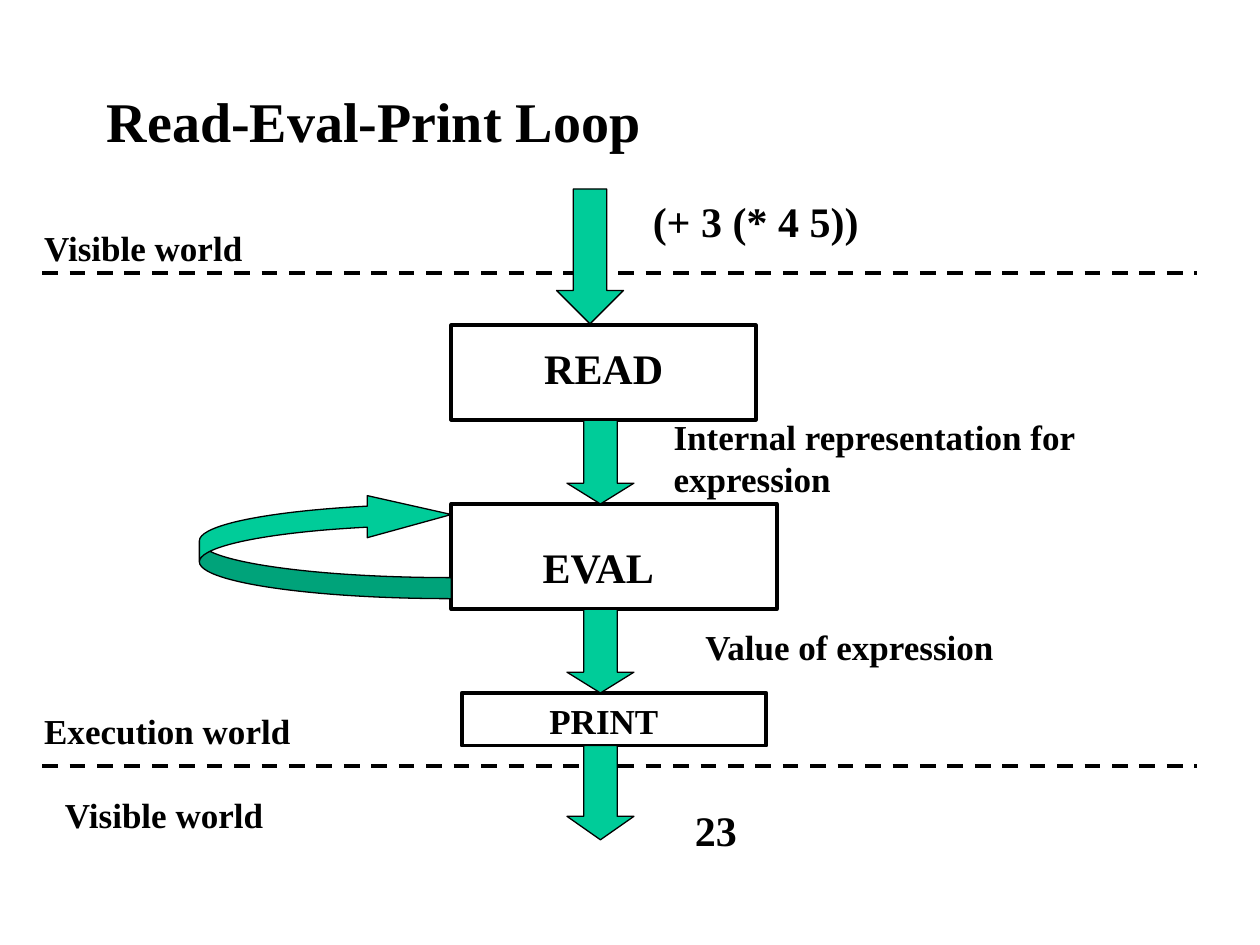
from dataclasses import dataclass

from lxml.etree import SubElement
from pptx import Presentation
from pptx.dml.color import RGBColor
from pptx.enum.dml import MSO_LINE
from pptx.enum.shapes import MSO_CONNECTOR, MSO_SHAPE
from pptx.enum.text import MSO_ANCHOR, PP_ALIGN
from pptx.oxml.ns import qn
from pptx.util import Cm, Pt


@dataclass(frozen=True)
class Theme:
    font: str = "Times New Roman"
    ink: RGBColor = RGBColor(0x00, 0x00, 0x00)
    arrow: RGBColor = RGBColor(0x00, 0xCC, 0x99)
    title: float = 32
    large: float = 24
    small: float = 20
    thick: float = 2.25
    thin: float = 0.75


class SlideBuilder:
    """Draws elements on one slide; every length is in centimetres."""

    def __init__(self, slide, theme):
        self.slide = slide
        self.shapes = slide.shapes
        self.theme = theme

    def add_text(self, tf, text, size, align=PP_ALIGN.LEFT):
        tf.word_wrap = True
        p = tf.paragraphs[0]
        p.alignment = align
        r = p.add_run()
        r.text = text
        r.font.name = self.theme.font
        r.font.size = Pt(size)
        r.font.bold = True
        r.font.color.rgb = self.theme.ink

    def outline(self, line, width):
        line.color.rgb = self.theme.ink
        line.width = Pt(width)

    def title(self, text, x, y, w, h):
        sp = self.shapes.title
        sp.left, sp.top, sp.width, sp.height = map(Cm, (x, y, w, h))
        sp.text_frame.vertical_anchor = MSO_ANCHOR.MIDDLE
        self.add_text(sp.text_frame, text, self.theme.title)

    def label(self, text, x, y, w, h, size, align=PP_ALIGN.LEFT):
        sp = self.shapes.add_textbox(Cm(x), Cm(y), Cm(w), Cm(h))
        self.add_text(sp.text_frame, text, size, align)

    def shape(self, kind, x, y, w, h, width, fill=None):
        sp = self.shapes.add_shape(kind, Cm(x), Cm(y), Cm(w), Cm(h))
        sp.shadow.inherit = False
        if fill is None:
            sp.fill.background()
        else:
            sp.fill.solid()
            sp.fill.fore_color.rgb = fill
        self.outline(sp.line, width)
        return sp

    def box(self, x, y, w, h):
        self.shape(MSO_SHAPE.RECTANGLE, x, y, w, h, self.theme.thick)

    def down_arrow(self, x, y, h, head):
        """head is the length of the arrowhead as a share of the width."""
        sp = self.shape(MSO_SHAPE.DOWN_ARROW, x, y, 1.35, h,
                        self.theme.thin, self.theme.arrow)
        sp.adjustments[0] = 0.5
        sp.adjustments[1] = head

    def loop_arrow(self, x, y, w, h):
        sp = self.shape(MSO_SHAPE.CURVED_RIGHT_ARROW, x, y, w, h,
                        self.theme.thin, self.theme.arrow)
        for i, value in enumerate((0.2, 0.4, 0.8)):
            sp.adjustments[i] = value
        sp._element.spPr.find(qn("a:xfrm")).set("flipV", "1")

    def divider(self, x1, x2, y):
        cx = self.shapes.add_connector(
            MSO_CONNECTOR.STRAIGHT, Cm(x1), Cm(y), Cm(x2), Cm(y))
        self.outline(cx.line, self.theme.thick)
        cx.line.dash_style = MSO_LINE.DASH
        SubElement(cx._element.spPr, qn("a:effectLst"))


def main():
    prs = Presentation()
    prs.slide_width, prs.slide_height = Cm(25.4), Cm(19.05)
    theme = Theme()
    large, small = theme.large, theme.small
    s = SlideBuilder(prs.slides.add_slide(prs.slide_layouts[5]), theme)

    s.title("Read-Eval-Print Loop", 1.9, 1.48, 21.59, 1.9)
    for y in (5.5, 15.45):
        s.divider(0.85, 24.13, y)

    # Stage name, its box, then the place and size of its caption
    stages = [
        ("READ", (9.1, 6.56, 6.14, 1.9), (9.31, 6.77, 5.72, 1.27), large),
        ("EVAL", (9.1, 10.16, 6.56, 2.12), (9.31, 10.8, 5.5, 1.27), large),
        ("PRINT", (9.31, 13.97, 6.14, 1.06), (9.53, 13.97, 5.29, 1.11), small),
    ]
    for name, box, caption, size in stages:
        s.box(*box)
        s.label(name, *caption, size, PP_ALIGN.CENTER)

    for arrow in [
        (11.22, 3.81, 2.72, 0.5),
        (11.43, 8.47, 1.69, 0.31),
        (11.43, 12.28, 1.69, 0.31),
        (11.43, 15.03, 1.9, 0.35),
    ]:
        s.down_arrow(*arrow)
    s.loop_arrow(4.02, 9.95, 5.08, 2.12)

    for label in [
        ("Visible world", 0.64, 4.45, 5.72, 1.11, small),
        ("Execution world", 0.64, 14.18, 5.5, 1.11, small),
        ("Visible world", 1.06, 15.88, 4.87, 1.11, small),
        ("(+ 3 (* 4 5))", 12.91, 3.81, 6.35, 1.27, large),
        ("Internal representation for expression",
         13.33, 8.26, 11.22, 1.95, small),
        ("Value of expression", 13.97, 12.49, 7.62, 1.11, small),
        ("23", 13.76, 16.09, 4.45, 1.27, large),
    ]:
        s.label(*label)

    prs.save("out.pptx")


if __name__ == "__main__":
    main()
